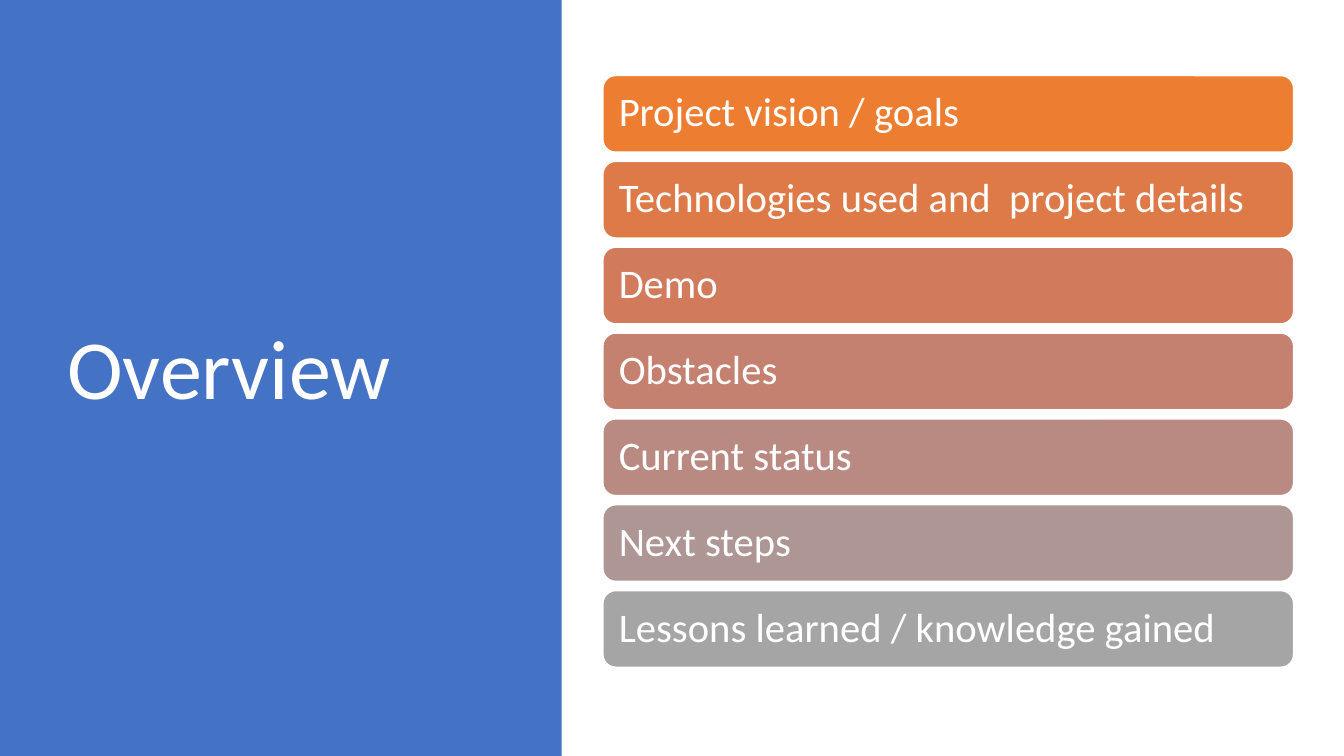
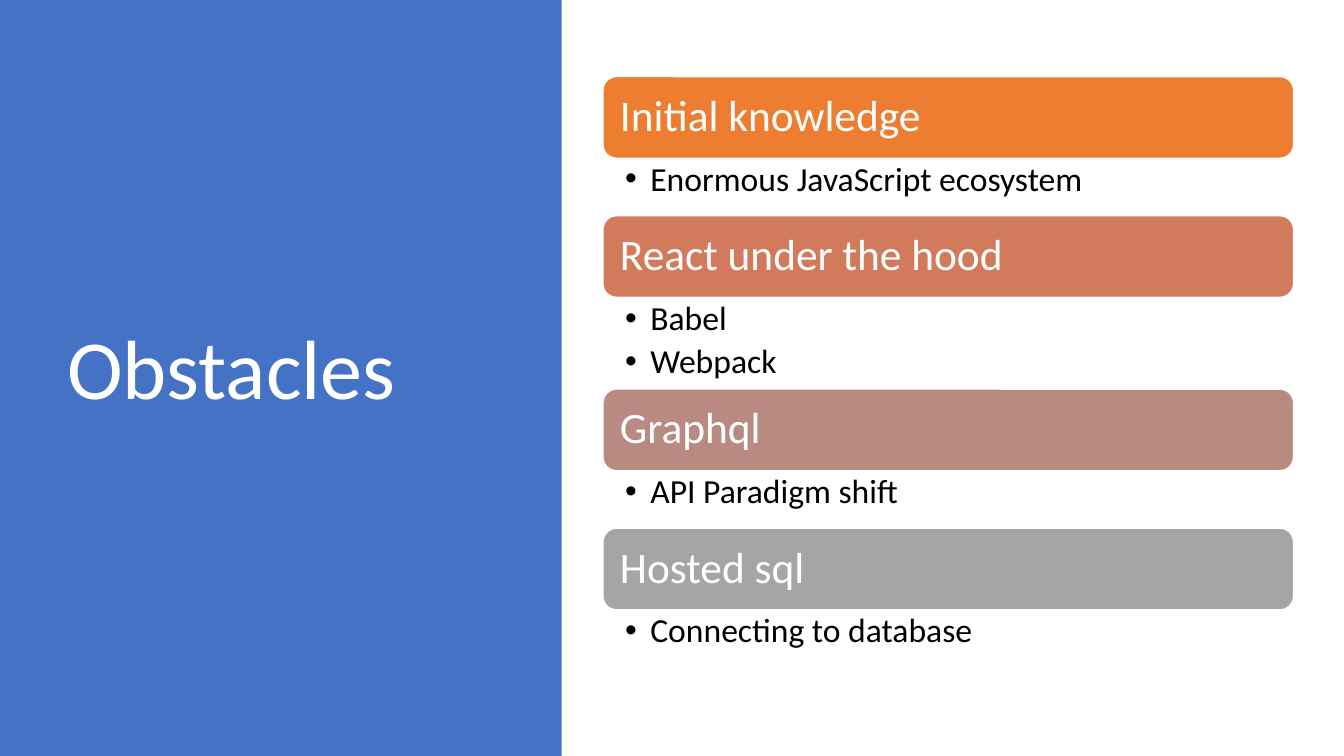
from lxml import etree
from pptx import Presentation
from pptx.dml.color import RGBColor
from pptx.enum.shapes import MSO_SHAPE
from pptx.enum.text import MSO_ANCHOR, PP_ALIGN
from pptx.oxml.ns import qn
from pptx.util import Inches, Pt

RECT, ROUNDED = MSO_SHAPE.RECTANGLE, MSO_SHAPE.ROUNDED_RECTANGLE
MIDDLE, TOP = MSO_ANCHOR.MIDDLE, MSO_ANCHOR.TOP
LEFT = PP_ALIGN.LEFT

# Shared look
FONT = "Calibri"
BLUE, WHITE, BLACK = "4472C4", "FFFFFF", "000000"
RAMP = ["ED7D31", "DE7A47", "D17B5C", "C48170", "B98A82", "AE9694", "A5A5A5"]
LIST_LEFT, LIST_WIDTH = 5.98, 6.85

prs = Presentation()
prs.slide_width, prs.slide_height = Inches(13.33), Inches(7.5)


def add_block(slide, kind, box, fill, line=None):
    block = slide.shapes.add_shape(kind, *map(Inches, box))
    block.shadow.inherit = False
    block.fill.solid()
    block.fill.fore_color.rgb = RGBColor.from_string(fill)
    if line:
        block.line.color.rgb = RGBColor.from_string(line)
        block.line.width = Pt(1)
    else:
        block.line.fill.background()
    return block


def write(shape, lines, size, color, insets, anchor=MIDDLE, bullet=False):
    frame = shape.text_frame
    frame.word_wrap = True
    frame.vertical_anchor = anchor
    (frame.margin_left, frame.margin_top,
     frame.margin_right, frame.margin_bottom) = map(Inches, insets)
    for i, line in enumerate(lines):
        para = frame.paragraphs[0] if i == 0 else frame.add_paragraph()
        para.alignment = LEFT
        para.line_spacing = 0.9
        if bullet:
            para.space_after = Pt(size * 0.2)
            props = para._p.get_or_add_pPr()
            props.set("marL", str(Inches(0.25)))
            props.set("indent", str(-Inches(0.25)))
            etree.SubElement(props, qn("a:buFont")).set("typeface", "Arial")
            etree.SubElement(props, qn("a:buChar")).set("char", "•")
        run = para.add_run()
        run.text = line
        run.font.name = FONT
        run.font.size = Pt(size)
        run.font.color.rgb = RGBColor.from_string(color)


# Blue side panel with the title, on both slides
slides = []
for title in ["Overview", "Obstacles"]:
    slide = prs.slides.add_slide(prs.slide_layouts[6])
    add_block(slide, RECT, (0, 0, 5.57, 7.5), BLUE)
    title_box = slide.shapes.add_textbox(*map(Inches, (0.57, 0.68, 4.16, 6.02)))
    write(title_box, [title], 60, WHITE, (0.1, 0.05, 0.1, 0.05))
    slides.append(slide)
overview, obstacles = slides

# Overview: seven evenly spaced topics
topics = ["Project vision / goals", "Technologies used and  project details",
          "Demo", "Obstacles", "Current status", "Next steps",
          "Lessons learned / knowledge gained"]
first_top, last_top = 0.75, 5.86
step = (last_top - first_top) / (len(topics) - 1)
for i, (topic, color) in enumerate(zip(topics, RAMP)):
    bar = add_block(overview, ROUNDED,
                    (LIST_LEFT, first_top + i * step, LIST_WIDTH, 0.76), color, WHITE)
    write(bar, [topic], 29, WHITE, [0.12] * 4)

# Obstacles: stacked headings, each followed by its bullets
groups = [("Initial knowledge", ["Enormous JavaScript ecosystem"]),
          ("React under the hood", ["Babel", "Webpack"]),
          ("Graphql", ["API Paradigm shift"]),
          ("Hosted sql", ["Connecting to database"])]
heading_height = 0.81
top = 0.76
for (heading, details), color in zip(groups, RAMP[::2]):
    bar = add_block(obstacles, ROUNDED,
                    (LIST_LEFT, top, LIST_WIDTH, heading_height), color, WHITE)
    write(bar, [heading], 31, WHITE, [0.13] * 4)
    top += heading_height
    details_height = 0.57 + 0.34 * (len(details) - 1)
    detail_box = obstacles.shapes.add_textbox(
        *map(Inches, (LIST_LEFT, top, LIST_WIDTH, details_height)))
    write(detail_box, details, 24, BLACK, (0.22, 0.04, 0.24, 0.04), TOP, bullet=True)
    top += details_height

prs.save("out.pptx")
